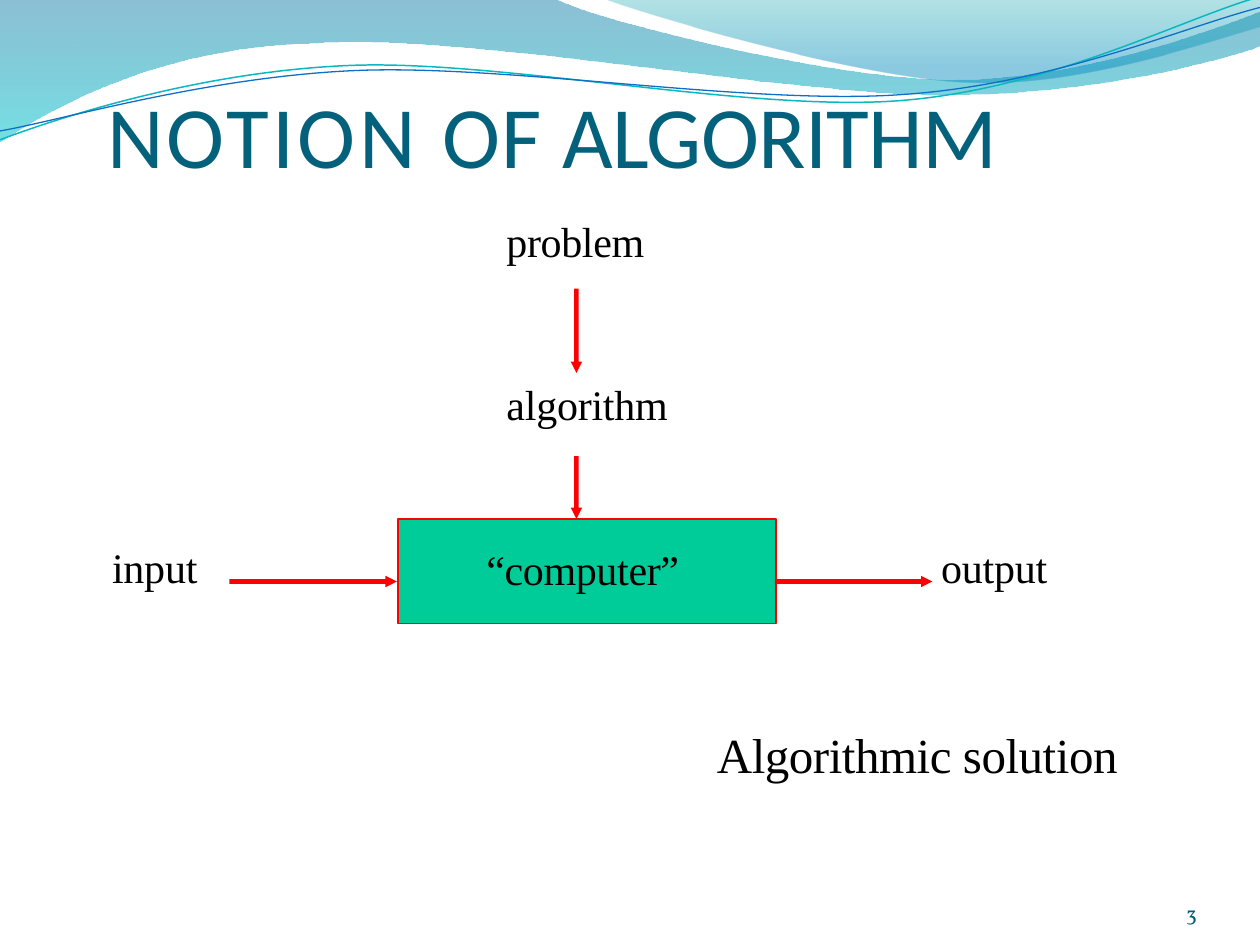
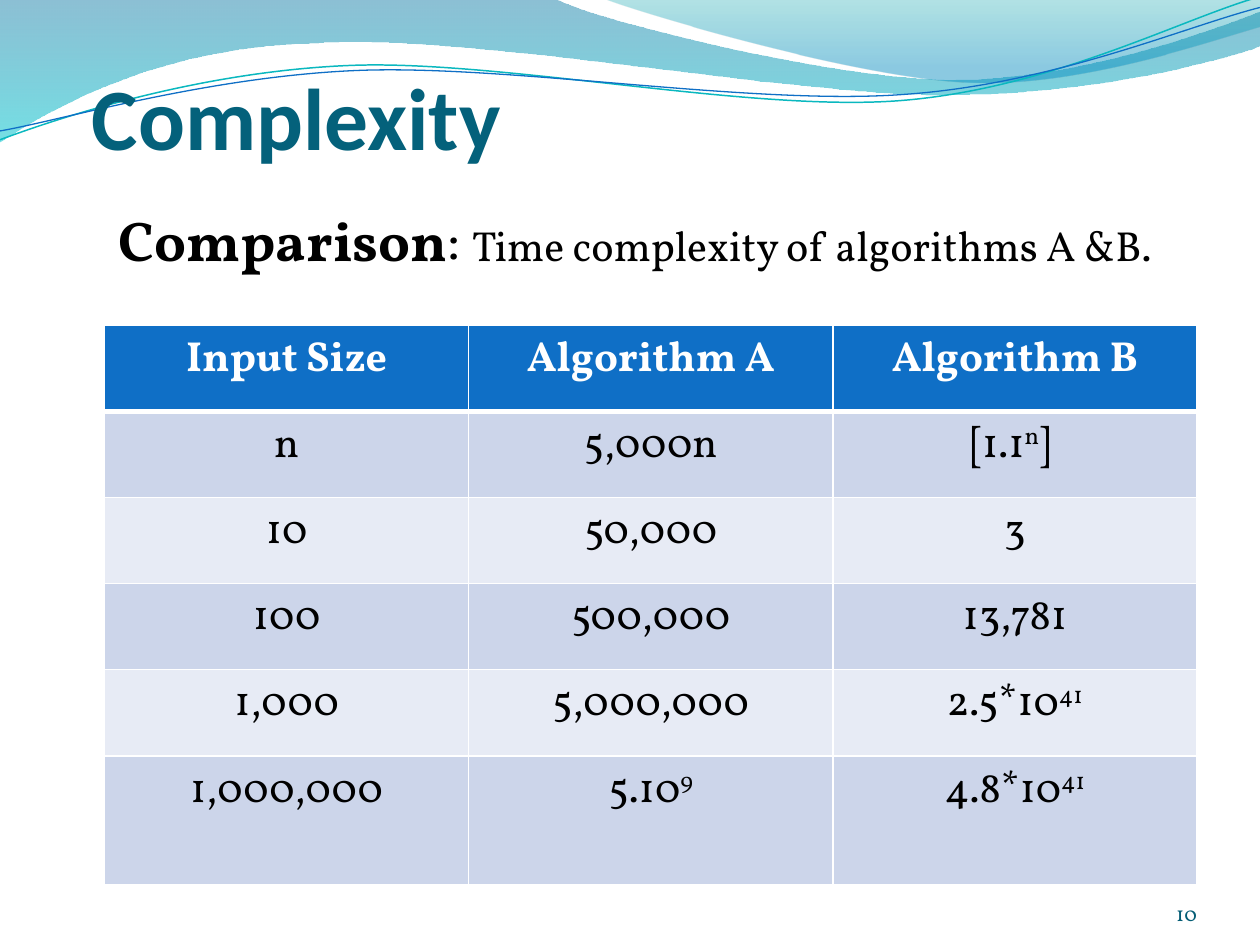
from dataclasses import dataclass
from math import cos, radians, sin
from pptx import Presentation
from pptx.dml.color import RGBColor as Rgb
from pptx.enum.shapes import MSO_SHAPE as Kind
from pptx.enum.text import MSO_ANCHOR as Anchor, PP_ALIGN as Align
from pptx.oxml.ns import qn
from pptx.util import Inches, Pt
from lxml.etree import SubElement as Sub


@dataclass(frozen=True)
class Theme:
    title: str = "04617B"
    foot: str = "045D75"
    blue: str = "0F6FC6"
    teal: str = "0AB8BF"
    ink: str = "000000"
    white: str = "FFFFFF"
    red: str = "FF0000"
    green: str = "00CC99"
    bands: tuple = ("E7EBF5", "CCD5EA")
    head: str = "Calibri"
    body: str = "Vollkorn"
    label: str = "Times New Roman"
    huge: int = 50
    big: int = 32
    mid: int = 28
    base: int = 24
    small: int = 12


T = Theme()

CREST = [(0, 0), (4.4, -0.01),
         (4.76, 0.17, 6.64, 0.63, 7.58, 0.63), (8.53, 0.63, 9.58, 0.26, 10, 0.09),
         (10.01, 0.36),
         (9.83, 0.44, 8.7, 0.76, 7.46, 0.75), (6.22, 0.75, 3.82, 0.28, 2.57, 0.34),
         (1.29, 0.36, 0.46, 0.83, -0.01, 1.13)]
SWELL = [(4.79, -0.01), (5.09, 0.11, 6.82, 0.62, 7.69, 0.65),
         (8.56, 0.69, 9.61, 0.32, 10, 0.21), (10, 0)]
UPPER = [(0, 1.11), (0.48, 0.93, 1.58, 0.57, 2.77, 0.52),
         (3.95, 0.47, 5.93, 0.89, 7.13, 0.8), (8.33, 0.71, 9.38, 0.15, 9.98, -0.02)]
LOWER = [(0, 1.04), (0.47, 0.96, 1.64, 0.61, 2.83, 0.56),
         (4.03, 0.51, 5.97, 0.84, 7.17, 0.75), (8.36, 0.67, 9.41, 0.21, 10, 0.06)]


def pairs(step):
    return list(zip(step[::2], step[1::2]))


def outline(slide, steps, close):
    spots = [[(Inches(x), Inches(y)) for x, y in pairs(step)] for step in steps]
    pen = slide.shapes.build_freeform(*spots[0][-1])
    pen.add_line_segments([spot[-1] for spot in spots[1:]], close=close)
    shape = pen.convert_to_shape()
    shape.shadow.inherit = False
    lines = list(shape.element.spPr.iter(qn("a:lnTo")))
    for line, spot in zip(lines, spots[1:]):
        if len(spot) == 3:
            line.tag = qn("a:cubicBezTo")
            line.remove(line[0])
            for x, y in spot:
                Sub(line, qn("a:pt"), x=str(x - shape.left), y=str(y - shape.top))
    return shape


def wave(slide, steps, stops):
    shape = outline(slide, steps, True)
    shape.line.fill.background()
    shape.fill.gradient()
    shape.fill.gradient_angle = 270
    for stop, (place, color, alpha) in zip(shape.fill.gradient_stops, stops):
        stop.position = place
        stop.color.rgb = Rgb.from_string(color)
    marks = shape.element.spPr.iter(qn("a:srgbClr"))
    for mark, (_, _, alpha) in zip(marks, stops):
        Sub(mark, qn("a:alpha"), val=str(alpha * 1000))


def turn(steps, angle):
    (ax, ay), (bx, by) = steps[0], steps[-1][-2:]
    mx, my = (ax + bx) / 2, (ay + by) / 2
    c, s = cos(radians(angle)), sin(radians(angle))
    return [tuple(v for x, y in pairs(step)
                  for v in (mx + (x - mx) * c - (y - my) * s,
                            my + (x - mx) * s + (y - my) * c))
            for step in steps]


def strand(slide, steps, color, width, tilt=2.7):
    shape = outline(slide, turn(steps, tilt), False)
    shape.rotation = 360 - tilt
    shape.fill.background()
    shape.line.color.rgb = Rgb.from_string(color)
    shape.line.width = Pt(width)


def style(run, size, font, color, bold=False, gap=0, base=0):
    run.font.size = Pt(size)
    run.font.name = font
    run.font.bold = bold
    run.font.color.rgb = Rgb.from_string(color)
    props = run.font._element
    if gap:
        props.set("spc", str(round(gap * 100)))
    if base:
        props.set("baseline", str(base * 1000))


def write(para, parts, size, font, color, **looks):
    for text, extra in parts:
        run = para.add_run()
        run.text = text
        style(run, **{"size": size, "font": font, "color": color, **looks, **extra})


def setup(frame, pads, anchor=Anchor.TOP):
    frame.word_wrap = True
    frame.vertical_anchor = anchor
    (frame.margin_left, frame.margin_top,
     frame.margin_right, frame.margin_bottom) = map(Inches, pads)
    return frame


def area(slide, box, pads=(0.01, 0.01, 0, 0), anchor=Anchor.TOP):
    return setup(slide.shapes.add_textbox(*map(Inches, box)).text_frame, pads, anchor)


def label(slide, box, text, size=T.base, gap=-0.15):
    frame = area(slide, box)
    write(frame.paragraphs[0], [(text, {})], size, T.label, T.ink, gap=gap)
    return frame


def title(slide, box, parts, pads, bold=False):
    frame = area(slide, box, pads, Anchor.BOTTOM)
    write(frame.paragraphs[0], parts, T.huge, T.head, T.title, bold=bold)


def frame(deck, number):
    slide = deck.slides.add_slide(deck.slide_layouts[6])
    wave(slide, CREST, [(0, "0074A1", 45), (1, "00C6CF", 55)])
    wave(slide, SWELL, [(0, "00A1A9", 30), (0.8, "008BBF", 45)])
    strand(slide, UPPER, T.teal, 0.85)
    strand(slide, LOWER, T.blue, 0.75)
    para = area(slide, (8.67, 6.95, 0.83, 0.4), (0, 0, 0, 0), Anchor.BOTTOM).paragraphs[0]
    para.alignment = Align.RIGHT
    write(para, [(str(number), {})], T.small, T.body, T.foot)
    return slide


def solid(slide, kind, box, color):
    shape = slide.shapes.add_shape(kind, *map(Inches, box))
    shape.shadow.inherit = False
    shape.fill.solid()
    shape.fill.fore_color.rgb = Rgb.from_string(color)
    return shape


def arrow(slide, kind, box):
    shape = solid(slide, kind, box, T.red)
    shape.line.fill.background()
    shape.adjustments[0] = 0.4
    shape.adjustments[1] = 1


def block(slide, box, text):
    shape = solid(slide, Kind.RECTANGLE, box, T.green)
    shape.line.color.rgb = Rgb.from_string(T.red)
    shape.line.width = Pt(0.99)
    para = setup(shape.text_frame, (0.7, 0, 0, 0.05), Anchor.MIDDLE).paragraphs[0]
    para.alignment = Align.LEFT
    write(para, [(text, {})], T.base, T.label, T.ink, gap=-0.2)


def flow(slide, box, thick=0.09):
    x, y, w, h = box
    mid = x + 1.37
    row = y + 0.45
    block(slide, box, "“computer”")
    arrow(slide, Kind.DOWN_ARROW, (mid, y - 1.83, thick, 0.67))
    arrow(slide, Kind.DOWN_ARROW, (mid, y - 0.5, thick, 0.5))
    steps = label(slide, (x + 0.85, y - 2.42, 1.3, 1.68), "problem", gap=-0.2)
    para = steps.add_paragraph()
    para.space_before = Pt(64.5)
    write(para, [("algorithm", {})], T.base, T.label, T.ink, gap=-0.15)
    label(slide, (x - 2.28, y + 0.17, 0.7, 0.43), "input")
    label(slide, (x + w + 1.3, y + 0.17, 0.86, 0.43), "output")
    arrow(slide, Kind.RIGHT_ARROW, (x - 1.34, row, 1.33, thick))
    arrow(slide, Kind.RIGHT_ARROW, (x + w - 0.01, row, 1.25, thick))


def edge(cell, low):
    props = cell._tc.get_or_add_tcPr()
    for spot, (side, width) in enumerate((("L", 1), ("R", 1), ("T", 1), ("B", low))):
        line = props.makeelement(qn("a:ln" + side), {"w": str(Pt(width))})
        Sub(Sub(line, qn("a:solidFill")), qn("a:srgbClr"), val=T.white)
        props.insert(spot, line)


def grid(slide, box, rows, last):
    x, y, w, h = box
    cols = len(rows[0])
    table = slide.shapes.add_table(len(rows), cols, *map(Inches, box)).table
    for col in table.columns:
        col.width = Inches(w / cols)
    for i, row in enumerate(rows):
        final = i == len(rows) - 1
        table.rows[i].height = Inches(last if final else (h - last) / (len(rows) - 1))
        for j, text in enumerate(row):
            cell = table.cell(i, j)
            cell.fill.solid()
            cell.fill.fore_color.rgb = Rgb.from_string(T.bands[i % 2] if i else T.blue)
            edge(cell, 1 if i else 3)
            para = cell.text_frame.paragraphs[0]
            para.alignment = Align.CENTER
            parts = [(bit, {"base": 30 * (k % 2)})
                     for k, bit in enumerate(text.split("^")) if bit]
            write(para, parts, T.base, T.body, T.ink if i else T.white, bold=not i)


def notion(deck):
    slide = frame(deck, 3)
    title(slide, (0.83, 0.75, 7.4, 0.73),
          [("NOTION ", {"gap": 2}), ("OF ", {"gap": 0.3}), ("ALGORITHM", {"gap": -0.4})],
          (0.02, 0.01, 0, 0))
    flow(slide, (3.16, 4.12, 3, 0.83))
    label(slide, (5.68, 5.74, 3.21, 0.49), "Algorithmic solution", T.mid, -0.25)


def growth(deck):
    slide = frame(deck, 10)
    title(slide, (0.42, 0.33, 9, 1), [("Complexity", {})], (0.31, 0.05, 0, 0), True)
    para = area(slide, (0.5, 1.58, 9.08, 4.62), (0.1, 0.05, 0.1, 0.05)).paragraphs[0]
    para.alignment = Align.CENTER
    write(para, [("Comparison", {"bold": True}), (": ", {}),
                 ("Time complexity of algorithms A &B.", {"size": T.base})],
          T.big, T.body, T.ink)
    grid(slide, (0.83, 2.58, 8.67, 4.44), [
        ("Input Size", "Algorithm A", "Algorithm B"),
        ("n", "5,000n", "[1.1^n^] "),
        ("10", "50,000", "3"),
        ("100", "500,000", "13,781"),
        ("1,000", "5,000,000", "2.5*10^41"),
        ("1,000,000", "5.10^9", "4.8*10^41"),
    ], 1.02)


deck = Presentation()
deck.slide_width, deck.slide_height = Inches(10), Inches(7.5)
notion(deck)
growth(deck)
deck.save("out.pptx")
